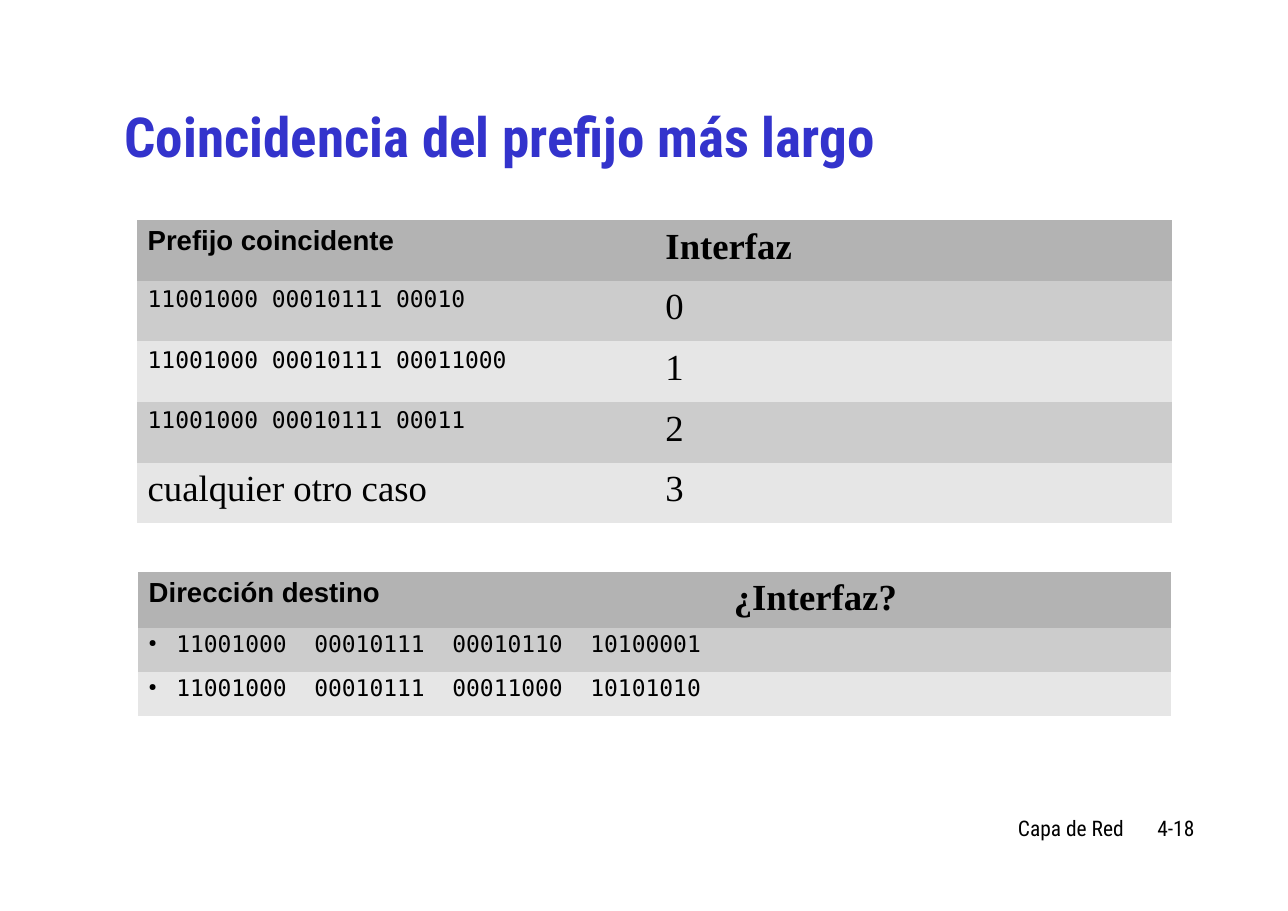
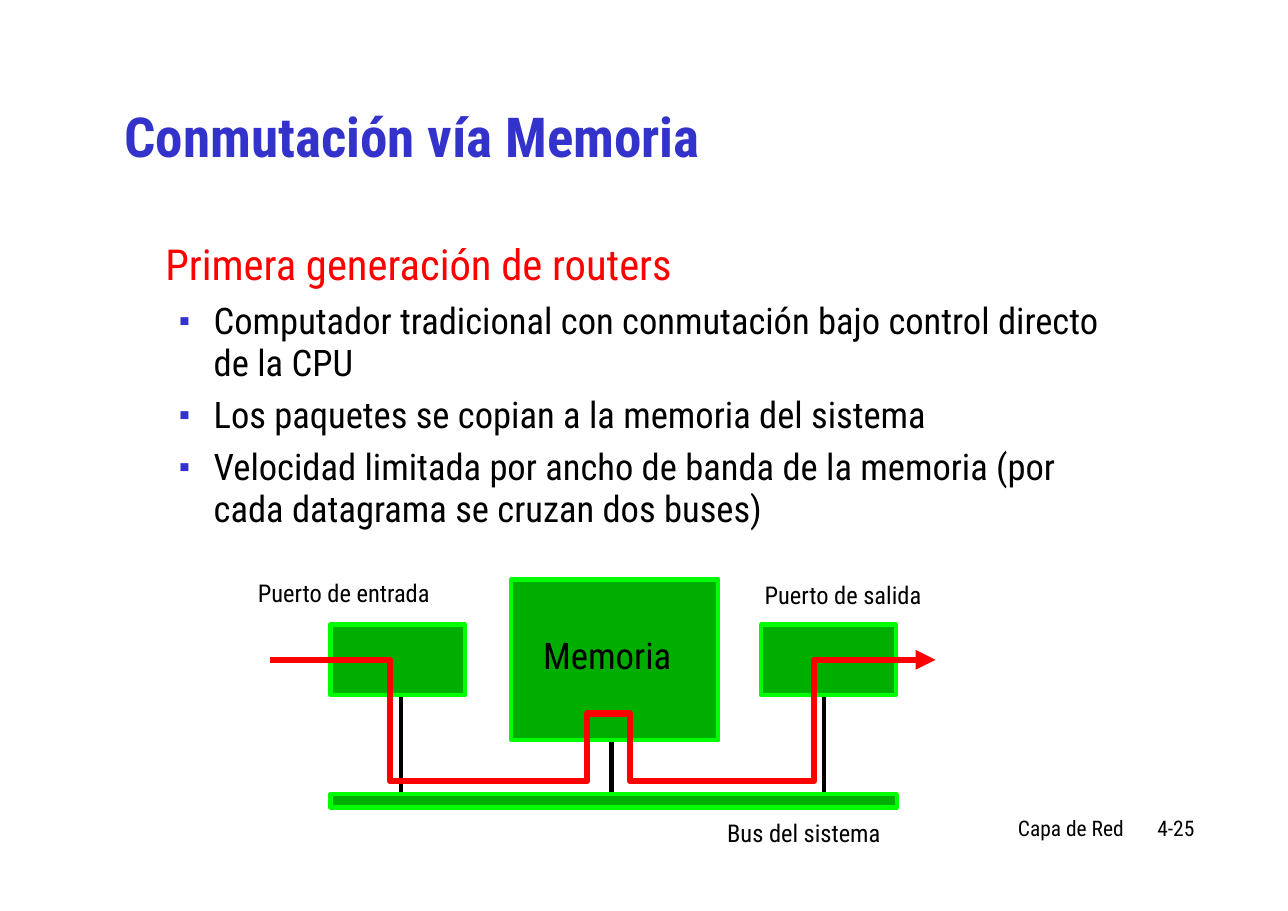
from lxml import etree
from pptx import Presentation
from pptx.dml.color import RGBColor
from pptx.enum.shapes import MSO_CONNECTOR, MSO_SHAPE
from pptx.enum.text import MSO_ANCHOR, MSO_AUTO_SIZE, PP_ALIGN
from pptx.oxml.ns import qn
from pptx.util import Inches, Pt

RECTANGLE = MSO_SHAPE.RECTANGLE
STRAIGHT = MSO_CONNECTOR.STRAIGHT
LEFT, RIGHT = PP_ALIGN.LEFT, PP_ALIGN.RIGHT
TOP, MIDDLE = MSO_ANCHOR.TOP, MSO_ANCHOR.MIDDLE
NO_AUTO_SIZE = MSO_AUTO_SIZE.NONE

COLORS = {
    "black": "000000",
    "title": "3333CC",
    "red": "FF0000",
    "green": "00AE00",
    "outline": "00FF00",
    "header": "B3B3B3",
    "odd": "CCCCCC",
    "even": "E6E6E6",
}
SANS, ARIAL = "Roboto Condensed", "Arial"
SERIF, MONO = "Times New Roman", "DejaVu Sans Mono"
TITLE_LAYOUT, BODY_LAYOUT = 5, 1
PLAIN_TABLE_STYLE = "{2D5ABB26-0587-4C30-8999-92F81FD0307C}"

# Cell formats
SERIF_CELL = {"font": SERIF, "size": 24, "line_spacing": 1.02}
MONO_CELL = {"font": MONO, "size": 15}
HEADER_CELL = {"font": ARIAL, "size": 18, "bold": True}
ADDRESS_CELL = {**MONO_CELL, "line_spacing": 0.9, "bullet": "●",
                "indent": 0.25, "hanging": 0.25}


def color(name):
    return RGBColor.from_string(COLORS[name])


def write(paragraph, text, *, size, font=SANS, ink="black", bold=False,
          align=LEFT, line_spacing=None, space_before=0, indent=0, hanging=0,
          bullet=None, bullet_ink="black"):
    """Write one formatted paragraph."""
    run = paragraph.add_run()
    run.text = text
    run.font.size = Pt(size)
    run.font.name = font
    run.font.bold = bold
    run.font.color.rgb = color(ink)
    paragraph.alignment = align
    paragraph.space_before = Pt(space_before)
    if line_spacing:
        paragraph.line_spacing = line_spacing
    properties = paragraph._p.get_or_add_pPr()
    properties.set("marL", str(Inches(indent)))
    properties.set("indent", str(-Inches(hanging)))
    if bullet:
        bullet_color = etree.SubElement(properties, qn("a:buClr"))
        etree.SubElement(bullet_color, qn("a:srgbClr"), val=COLORS[bullet_ink])
        etree.SubElement(properties, qn("a:buSzPct"), val="45000")
        etree.SubElement(properties, qn("a:buChar"), char=bullet)
    else:
        etree.SubElement(properties, qn("a:buNone"))


def place(shape, box):
    shape.left, shape.top, shape.width, shape.height = map(Inches, box)


def prepare_frame(frame, anchor=TOP, side=0.1, edge=0.05):
    frame.word_wrap = True
    frame.auto_size = NO_AUTO_SIZE
    frame.vertical_anchor = anchor
    frame.margin_left = frame.margin_right = Inches(side)
    frame.margin_top = frame.margin_bottom = Inches(edge)
    return frame


def add_label(slide, box, text, side=0.1, edge=0.05, **text_format):
    shape = slide.shapes.add_textbox(*map(Inches, box))
    frame = prepare_frame(shape.text_frame, TOP, side, edge)
    write(frame.paragraphs[0], text, **text_format)


# Shared title and footer
def add_page(presentation, layout, title, number):
    slide = presentation.slides.add_slide(presentation.slide_layouts[layout])
    place(slide.shapes.title, (1.03, 0.55, 9.27, 1.43))
    frame = prepare_frame(slide.shapes.title.text_frame, MIDDLE)
    write(frame.paragraphs[0], title, size=36, ink="title", bold=True,
          line_spacing=0.9)
    for text, left, width in (("Capa de Red", 6.85, 3.45), (number, 10.13, 0.81)):
        add_label(slide, (left, 7.38, width, 0.31), text, size=14, align=RIGHT,
                  line_spacing=0.9)
    return slide


# Table with a dark header and alternating rows
def add_striped_table(slide, left, top, widths, heights, rows):
    frame = slide.shapes.add_table(
        len(rows), len(widths), Inches(left), Inches(top),
        Inches(sum(widths)), Inches(sum(heights)))
    table = frame.table
    table._tbl.tblPr.find(qn("a:tableStyleId")).text = PLAIN_TABLE_STYLE
    for column, width in zip(table.columns, widths):
        column.width = Inches(width)
    for row_index, cells in enumerate(rows):
        table.rows[row_index].height = Inches(heights[row_index])
        shade = ("odd" if row_index % 2 else "even") if row_index else "header"
        for column_index, (text, text_format) in enumerate(cells):
            cell = table.cell(row_index, column_index)
            cell.fill.solid()
            cell.fill.fore_color.rgb = color(shade)
            cell.margin_left = cell.margin_right = Inches(0.1)
            cell.margin_top = cell.margin_bottom = Inches(0.05)
            write(cell.text_frame.paragraphs[0], text, **text_format)


def header_row(first, second):
    return [(first, HEADER_CELL), (second, {**SERIF_CELL, "bold": True})]


def add_prefix_slide(presentation):
    slide = add_page(presentation, TITLE_LAYOUT,
                     "Coincidencia del prefijo más largo", "4-18")
    prefixes = ["11001000 00010111 00010", "11001000 00010111 00011000",
                "11001000 00010111 00011"]
    rows = [header_row("Prefijo coincidente", "Interfaz")]
    rows += [[(prefix, MONO_CELL), (str(interface), SERIF_CELL)]
             for interface, prefix in enumerate(prefixes)]
    rows.append([("cualquier otro caso", SERIF_CELL), ("3", SERIF_CELL)])
    add_striped_table(slide, 1.24, 2, [4.7, 4.7], [0.55] * len(rows), rows)

    addresses = ["11001000  00010111  00010110  10100001",
                 "11001000  00010111  00011000  10101010"]
    rows = [header_row("Dirección destino", "¿Interfaz?")]
    rows += [[(address, ADDRESS_CELL), ("", MONO_CELL)] for address in addresses]
    add_striped_table(slide, 1.25, 5.19, [5.31, 4.07], [0.51, 0.4, 0.4], rows)


# Heading and bulleted list
def add_body(slide, box, heading, items):
    body = slide.placeholders[1]
    place(body, box)
    frame = prepare_frame(body.text_frame)
    write(frame.paragraphs[0], heading, size=27.9, ink="red",
          line_spacing=0.97, space_before=6.9, indent=0.37)
    for item in items:
        paragraph = frame.add_paragraph()
        paragraph.level = 1
        write(paragraph, item, size=23.9, line_spacing=0.97, space_before=6,
              indent=0.81, hanging=0.31, bullet="■", bullet_ink="title")


def add_block(slide, box):
    block = slide.shapes.add_shape(RECTANGLE, *map(Inches, box))
    block.shadow.inherit = False
    block.fill.solid()
    block.fill.fore_color.rgb = color("green")
    block.line.color.rgb = color("outline")
    block.line.width = Pt(2.83)


def add_stem(slide, x, top, bottom):
    stem = slide.shapes.add_connector(
        STRAIGHT, Inches(x), Inches(top), Inches(x), Inches(bottom))
    stem.line.color.rgb = color("black")
    stem.line.width = Pt(2.83)
    etree.SubElement(stem._element.spPr, qn("a:effectLst"))


def add_packet_route(slide, points):
    start, *rest = [(Inches(x), Inches(y)) for x, y in points]
    builder = slide.shapes.build_freeform(*start)
    builder.add_line_segments(rest, close=False)
    route = builder.convert_to_shape()
    route.shadow.inherit = False
    route.fill.background()
    route.line.color.rgb = color("red")
    route.line.width = Pt(4.31)
    etree.SubElement(route.line._get_or_add_ln(), qn("a:tailEnd"), type="triangle")


# Ports and memory joined by the system bus
def add_memory_diagram(slide, left, top):
    for x in (1.42, 3.33, 5.26):
        add_stem(slide, left + x, top + 1.03, top + 2.12)
    blocks = {
        "input": (0.78, 0.5, 1.22, 0.64),
        "output": (4.69, 0.5, 1.22, 0.64),
        "memory": (2.42, 0.09, 1.88, 1.46),
        "bus": (0.78, 2.04, 5.14, 0.12),
    }
    for x, y, width, height in blocks.values():
        add_block(slide, (left + x, top + y, width, height))
    labels = [
        ("Bus del sistema", 16, 4.26, 2.18, 1.82, 0.41),
        ("Puerto de entrada", 16, 0, 0, 2.05, 0.41),
        ("Memoria", 24, 2.59, 0.5, 1.55, 0.55),
        ("Puerto de salida", 16, 4.6, 0.02, 1.86, 0.41),
    ]
    for text, size, x, y, width, height in labels:
        add_label(slide, (left + x, top + y, width, height), text,
                  side=0.12, edge=0.07, size=size, line_spacing=1.02)
    port, bus, memory = 0.82, 1.92, 1.31
    route = [(0.23, port), (1.32, port), (1.32, bus), (3.11, bus),
             (3.11, memory), (3.5, memory), (3.5, bus), (5.17, bus),
             (5.17, port), (6.27, port)]
    add_packet_route(slide, [(left + x, top + y) for x, y in route])


def add_memory_slide(presentation):
    slide = add_page(presentation, BODY_LAYOUT, "Conmutación vía Memoria", "4-25")
    add_body(slide, (1.03, 2.14, 9.27, 4.34), "Primera generación de routers", [
        "Computador tradicional con conmutación bajo control directo de la CPU",
        "Los paquetes se copian a la memoria del sistema",
        "Velocidad limitada por ancho de banda de la memoria "
        "(por cada datagrama se cruzan dos buses)",
    ])
    add_memory_diagram(slide, 2.22, 5.17)


presentation = Presentation()
presentation.slide_width = Inches(11.69)
presentation.slide_height = Inches(8.27)
add_prefix_slide(presentation)
add_memory_slide(presentation)
presentation.save("out.pptx")
